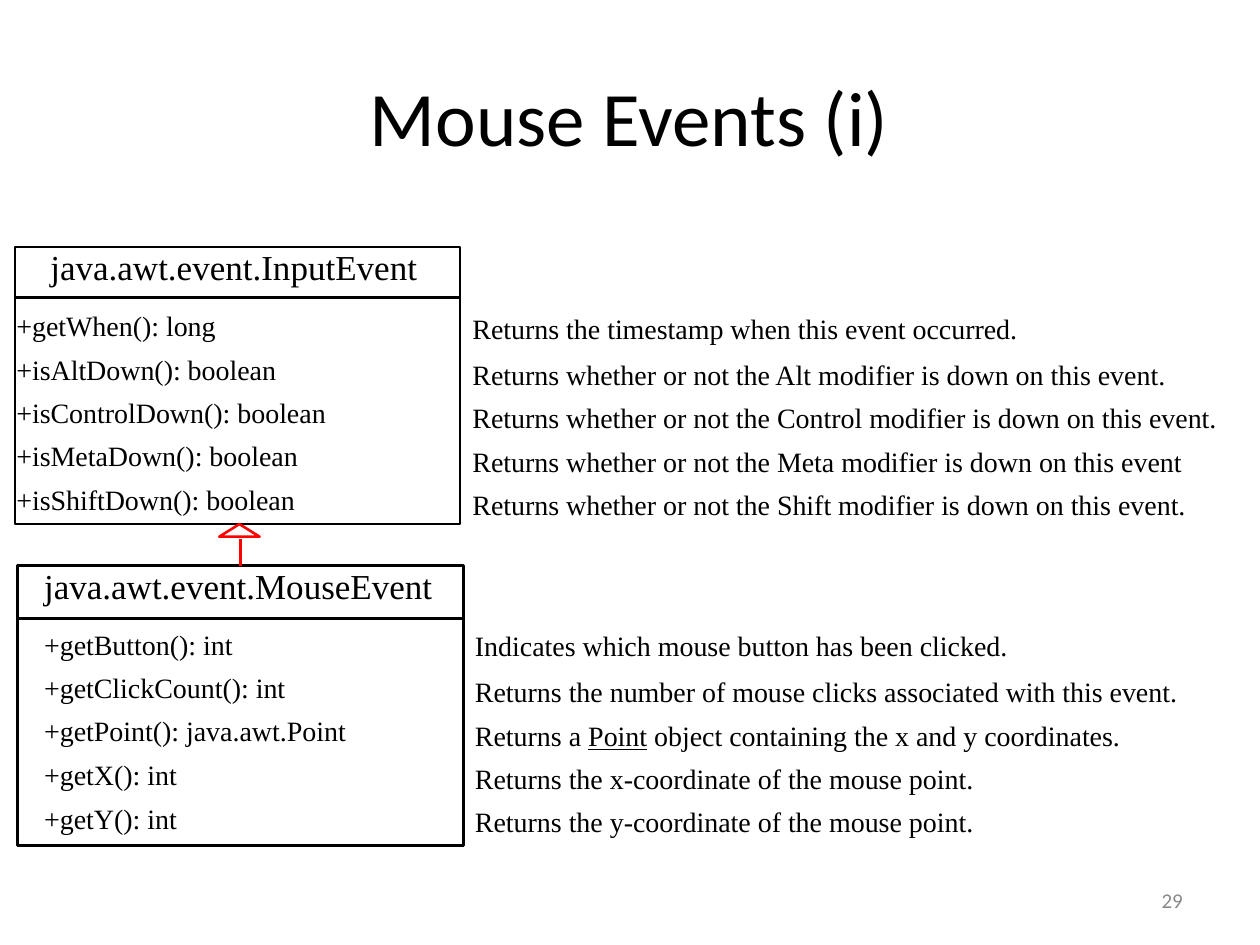
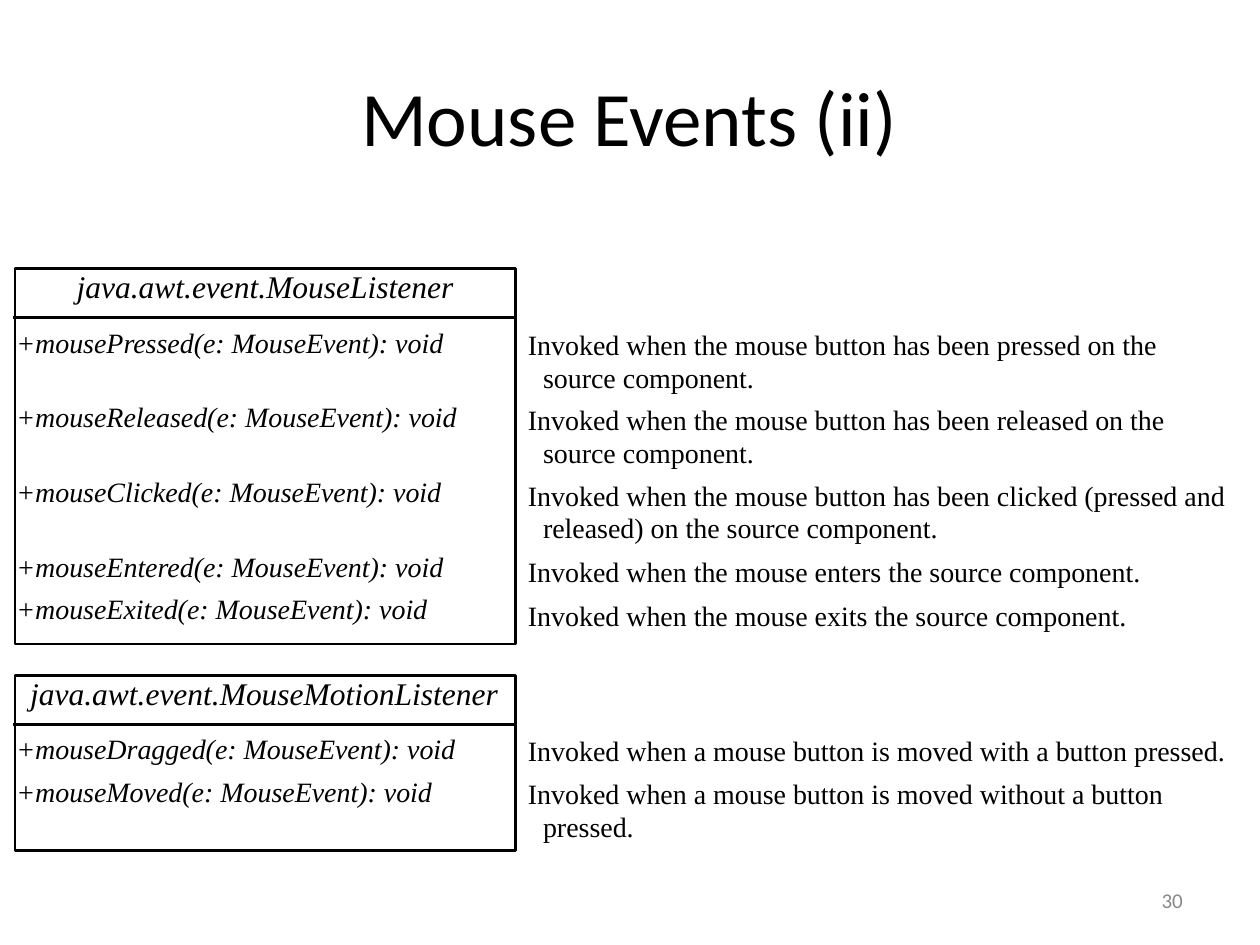
from typing import Any, NamedTuple, Sequence

import pptx
import pptx.dml.color
import pptx.enum.shapes
import pptx.enum.text
import pptx.oxml.ns
import pptx.util
from lxml import etree

SCALE = 9144
BLACK = pptx.dml.color.RGBColor(0x00, 0x00, 0x00)
RED = pptx.dml.color.RGBColor(0xFF, 0x00, 0x00)
GRAY = pptx.dml.color.RGBColor(0x89, 0x89, 0x89)
SERIF = "Times New Roman"
SANS = "Calibri"
STROKE = pptx.util.Pt(1.47)
ALIGN = pptx.enum.text.PP_ALIGN
SHAPE = pptx.enum.shapes.MSO_SHAPE


class Box(NamedTuple):
    left: int
    top: int
    width: int
    height: int


class Row(NamedTuple):
    text: str
    gap: float = 0
    lead: float = 0
    left: int = 0
    hang: int = 0
    size: int = 16


class Note(NamedTuple):
    box: Box
    inset: int
    rows: Sequence[Row]


def px(count: int) -> pptx.util.Emu:
    return pptx.util.Emu(count * SCALE)


def span(box: Box) -> list[pptx.util.Emu]:
    return [px(side) for side in box]


def put(shape: Any, rows: Sequence[Row], *, inset: int = 0, face: str = SERIF,
        color: pptx.dml.color.RGBColor = BLACK, slant: bool = False,
        align: Any = ALIGN.LEFT) -> None:
    frame = shape.text_frame
    frame.word_wrap = True
    frame.auto_size = pptx.enum.text.MSO_AUTO_SIZE.NONE
    frame.vertical_anchor = pptx.enum.text.MSO_ANCHOR.TOP
    frame.margin_left = frame.margin_right = frame.margin_bottom = 0
    frame.margin_top = px(inset)
    for index, row in enumerate(rows):
        para = frame.add_paragraph() if index else frame.paragraphs[0]
        props = para._p.get_or_add_pPr()
        props.set("marL", str(px(row.left)))
        props.set("indent", str(px(-row.hang)))
        etree.SubElement(props, pptx.oxml.ns.qn("a:buNone"))
        para.alignment = align
        para.space_before = pptx.util.Pt(row.gap)
        if row.lead:
            para.line_spacing = pptx.util.Pt(row.lead)
        for place, part in enumerate(row.text.split("_")):
            run = para.add_run()
            run.text = part
            font = run.font
            font.name, font.size = face, pptx.util.Pt(row.size)
            font.italic = slant
            font.underline = place % 2 == 1
            font.color.rgb = color


def move(shape: Any, box: Box) -> Any:
    shape.left, shape.top, shape.width, shape.height = span(box)
    return shape


def start(deck: Any, title: str, page: str) -> Any:
    slide = deck.slides.add_slide(deck.slide_layouts[1])
    put(move(slide.shapes.title, Box(98, 54, 803, 69)), [Row(title, size=44)],
        inset=1, face=SANS, align=ALIGN.CENTER)
    put(slide.shapes.add_textbox(*span(Box(921, 707, 24, 19))),
        [Row(page, lead=12.4, left=1, size=12)], face=SANS, color=GRAY)
    return slide


def draw(slide: Any, box: Box, kind: Any = SHAPE.RECTANGLE,
         color: pptx.dml.color.RGBColor = BLACK) -> Any:
    shape = slide.shapes.add_shape(kind, *span(box))
    shape.shadow.inherit = False
    shape.fill.background()
    shape.line.color.rgb = color
    shape.line.width = STROKE
    return shape


def rule(slide: Any, ends: Box, color: pptx.dml.color.RGBColor = BLACK) -> Any:
    left, top, width, height = ends
    line = slide.shapes.add_connector(
        pptx.enum.shapes.MSO_CONNECTOR.STRAIGHT,
        px(left), px(top), px(left + width), px(top + height))
    line.line.color.rgb = color
    line.line.width = STROKE
    etree.SubElement(line._element.spPr, pptx.oxml.ns.qn("a:effectLst"))
    return line


def jot(slide: Any, notes: Sequence[Note]) -> None:
    for note in notes:
        put(slide.shapes.add_textbox(*span(note.box)), note.rows, inset=note.inset)


INPUT_ROWS = [
    Row("+getWhen(): long", left=1),
    Row("+isAltDown(): boolean", 5.7, left=1),
    Row("+isControlDown(): boolean", 5.8, left=1),
    Row("+isMetaDown(): boolean", 5.4, left=1),
    Row("+isShiftDown(): boolean", 5.7, left=1),
]
MOUSE_ROWS = [
    Row("java.awt.event.MouseEvent", left=20, size=20),
    Row("+getButton(): int", 11.8, left=20),
    Row("+getClickCount(): int", 5.7, left=20),
    Row("+getPoint(): java.awt.Point", 5.4, left=20),
    Row("+getX(): int", 5.8, left=20),
    Row("+getY(): int", 5.7, left=20),
]
EVENT_NOTES = [
    Note(Box(374, 238, 607, 175), 9, [
        Row("Returns the timestamp when this event occurred.", left=1),
        Row("Returns whether or not the Alt modifier is down on this event.", 1.6, 24.8, 1),
        Row("Returns whether or not the Control modifier is down on this event.", 0, 24.8, 1),
        Row("Returns whether or not the Meta modifier is down on this event", 0, 24.7, 1),
        Row("Returns whether or not the Shift modifier is down on this event.", 0, 24.7, 1),
    ]),
    Note(Box(376, 490, 572, 174), 9, [
        Row("Indicates which mouse button has been clicked.", left=1),
        Row("Returns the number of mouse clicks associated with this event.", 1.6, 24.8, 1),
        Row("Returns a _Point_ object containing the x and y coordinates.", 0, 24.8, 1),
        Row("Returns the x-coordinate of the mouse point.", 0, 24.6, 1),
        Row("Returns the y-coordinate of the mouse point.", 0, 24.6, 1),
    ]),
]
LISTEN_ROWS = [
    Row("+mousePressed(e: MouseEvent): void"),
    Row("+mouseReleased(e: MouseEvent): void", 23.3),
    Row("+mouseClicked(e: MouseEvent): void", 23.5),
    Row("+mouseEntered(e: MouseEvent): void", 23.6),
    Row("+mouseExited(e: MouseEvent): void", 5.2),
    Row("java.awt.event.MouseMotionListener", 27.9, left=11, size=18),
    Row("+mouseDragged(e: MouseEvent): void", 11.2),
    Row("+mouseMoved(e: MouseEvent): void", 5.4),
]
LISTEN_NOTES = [
    Note(Box(418, 258, 562, 244), 3, [
        Row("Invoked when the mouse button has been pressed on the source component.",
            0, 18.6, 13, 12),
        Row("Invoked when the mouse button has been released on the source component.",
            5.8, 18.6, 13, 12),
        Row("Invoked when the mouse button has been clicked (pressed and released) "
            "on the source component.", 6.2, 18.4, 13, 12),
        Row("Invoked when the mouse enters the source component.", 0.1, 25.1, 1),
        Row("Invoked when the mouse exits the source component.", 0, 25.1, 1),
    ]),
    Note(Box(418, 574, 562, 96), 8, [
        Row("Invoked when a mouse button is moved with a button pressed.", left=1),
        Row("Invoked when a mouse button is moved without a button pressed.",
            6.3, 18.6, 13, 12),
    ]),
]


def events(deck: Any) -> None:
    slide = start(deck, "Mouse Events (i)", "29")
    put(move(slide.placeholders[1], Box(15, 427, 353, 237)), MOUSE_ROWS, inset=21)
    put(draw(slide, Box(12, 196, 353, 40)),
        [Row("java.awt.event.InputEvent", lead=23.3, left=28, size=20)])
    put(draw(slide, Box(12, 236, 353, 180)), INPUT_ROWS, inset=9)
    mouse = draw(slide, Box(14, 449, 354, 222))
    rule(slide, Box(14, 491, 354, 0))
    draw(slide, Box(174, 416, 32, 10), SHAPE.ISOSCELES_TRIANGLE, RED)
    stem = rule(slide, Box(191, 428, 0, 21), RED)
    stem.end_connect(mouse, 0)
    jot(slide, EVENT_NOTES)


def listen(deck: Any) -> None:
    slide = start(deck, "Mouse Events (ii)", "30")
    put(move(slide.placeholders[1], Box(13, 256, 395, 387)), LISTEN_ROWS,
        inset=2, slant=True)
    for top, height in ((213, 298), (536, 139)):
        draw(slide, Box(12, top, 397, height))
        rule(slide, Box(10, top + 39, 399, 0))
    put(slide.shapes.add_textbox(*span(Box(12, 213, 397, 39))),
        [Row("java.awt.event.MouseListener", lead=21, size=18)],
        slant=True, align=ALIGN.CENTER)
    jot(slide, LISTEN_NOTES)


def main() -> None:
    deck = pptx.Presentation()
    deck.slide_width, deck.slide_height = px(1000), px(750)
    events(deck)
    listen(deck)
    deck.save("out.pptx")


if __name__ == "__main__":
    main()
